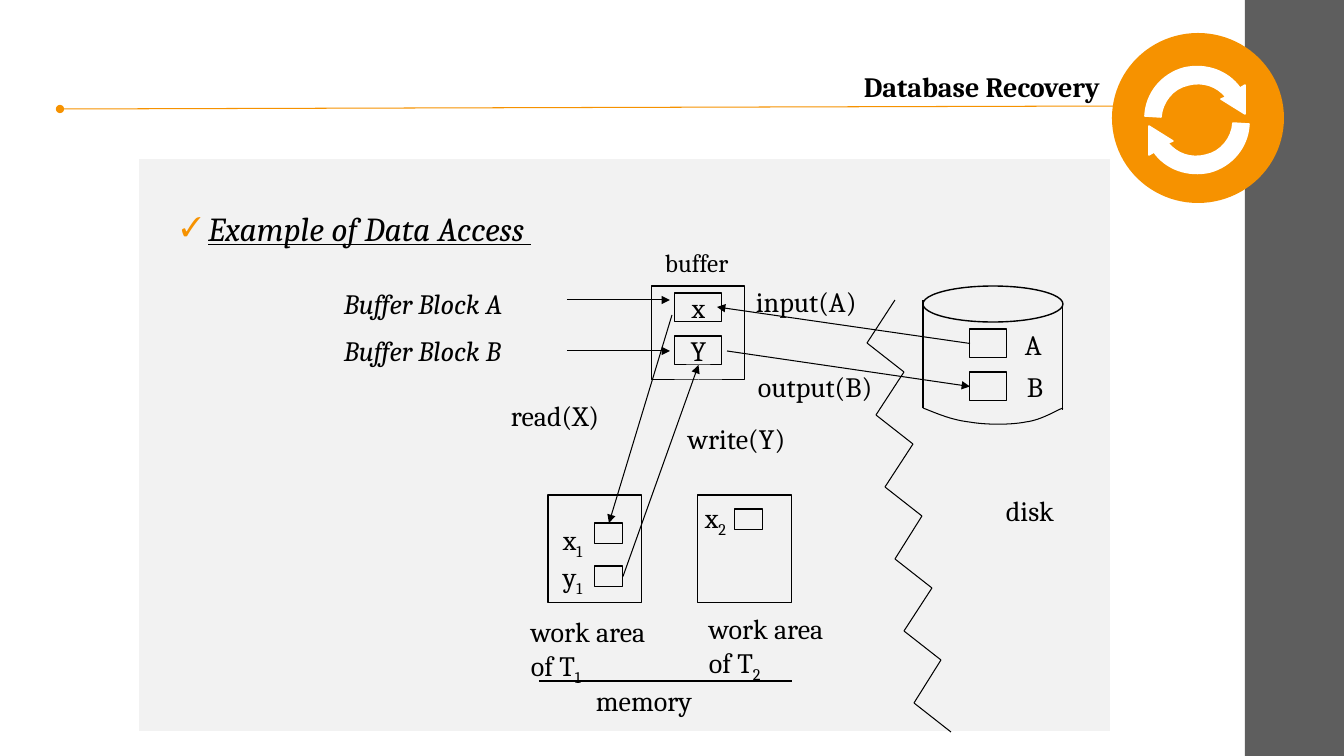
from lxml import etree
from pptx import Presentation
from pptx import util as u
from pptx.dml.color import RGBColor
from pptx.enum import shapes, text
from pptx.oxml import ns

SCALE = 914400 / 100.8
FONT = "Cambria"
COLOURS = {"ink": "000000", "accent": "F69200", "side": "5E5E5E", "panel": "F2F2F2", "white": "FFFFFF"}
RECT = shapes.MSO_SHAPE.RECTANGLE
OVAL = shapes.MSO_SHAPE.OVAL


def px(length):
    return u.Emu(round(length * SCALE))


def colour(name):
    return RGBColor.from_string(COLOURS[name])


def within(box, x, y, width, height):
    return box[0] + x, box[1] + y, width, height


def add_child(parent, tag, **attributes):
    return etree.SubElement(parent, ns.qn(tag), attributes)


def set_font(para, size=20, bold=False, italic=False, underline=False):
    font = para.font
    font.name, font.size = FONT, u.Pt(size)
    font.bold, font.italic, font.underline = bold, italic, underline
    font.color.rgb = colour("ink")


def paint(shape, fill=None, line=None, weight=0.75):
    shape.shadow.inherit = False
    if fill:
        shape.fill.solid()
        shape.fill.fore_color.rgb = colour(fill)
    else:
        shape.fill.background()
    if line:
        shape.line.color.rgb = colour(line)
        shape.line.width = u.Pt(weight)
    else:
        shape.line.fill.background()


def add_block(page, box, fill=None, line="ink", kind=RECT, weight=0.75):
    shape = page.shapes.add_shape(kind, *map(px, box))
    paint(shape, fill, line, weight)
    return shape


def add_label(page, box, *lines, size=20, italic=False):
    frame = page.shapes.add_textbox(*map(px, box)).text_frame
    frame.word_wrap = True
    for index, line in enumerate(lines):
        para = frame.add_paragraph() if index else frame.paragraphs[0]
        set_font(para, size, italic=italic)
        base, _, subscript = line.partition("_")
        para.add_run().text = base
        if subscript:
            span = para.add_run()
            span.text = subscript
            span._r.get_or_add_rPr().set("baseline", "-25000")


def add_line(page, start, end, line="ink", head=None, tail=None):
    connector = page.shapes.add_connector(shapes.MSO_CONNECTOR.STRAIGHT, *map(px, start + end))
    connector.line.color.rgb = colour(line)
    connector.line.width = u.Pt(0.75)
    outline = connector.line._get_or_add_ln()
    for tag, kind in (("a:headEnd", head), ("a:tailEnd", tail)):
        if kind:
            add_child(outline, tag, type=kind)
    add_child(connector._element.spPr, "a:effectLst")
    return connector


def add_outline(page, contours, steps, close, fill, line, weight):
    scaled = [[(px(x), px(y)) for x, y in contour] for contour in contours]
    builder = page.shapes.build_freeform(*scaled[0][0])
    for index, contour in enumerate(scaled):
        if index:
            builder.move_to(*contour[0])
        builder.add_line_segments(contour[1:], close=close)
    shape = builder.convert_to_shape()
    segments = iter(list(shape._element.iter(ns.qn("a:lnTo"))))
    for step in steps * len(contours):
        first, *others = [next(segments) for _ in step]
        if others:
            first.tag = ns.qn("a:cubicBezTo")
            for other in others:
                first.append(other[0])
                other.getparent().remove(other)
    paint(shape, fill, line, weight)


def place_title(page, box):
    title = page.shapes.title
    title.left, title.top, title.width, title.height = map(px, box)
    frame = title.text_frame
    frame.auto_size = text.MSO_AUTO_SIZE.NONE
    frame.vertical_anchor = text.MSO_ANCHOR.MIDDLE
    para = frame.paragraphs[0]
    para.text = "Database Recovery"
    para.alignment = text.PP_ALIGN.RIGHT
    set_font(para, bold=True)


def place_panel(page, box):
    panel = page.placeholders[1]
    panel.left, panel.top, panel.width, panel.height = map(px, box)
    panel.fill.solid()
    panel.fill.fore_color.rgb = colour("panel")
    frame = panel.text_frame
    frame.auto_size = text.MSO_AUTO_SIZE.NONE
    frame.margin_top = px(53)
    para = frame.paragraphs[0]
    para.text = "Example of Data Access "
    para.line_spacing = 0.9
    para.space_before, para.space_after = u.Pt(0), u.Pt(3)
    properties = para._p.get_or_add_pPr()
    properties.set("marL", str(px(59)))
    properties.set("indent", str(px(-27)))
    add_child(add_child(properties, "a:buClr"), "a:srgbClr", val=COLOURS["accent"])
    add_child(properties, "a:buSzPct", val="80000")
    add_child(properties, "a:buFont", typeface=FONT)
    add_child(properties, "a:buChar", char="✓")
    set_font(para, 24, italic=True, underline=True)


def draw_badge(page, box):
    left, top, width, height = box
    add_block(page, box, "accent", None, OVAL)
    steps = [[(52, 4)], [(51, 27), (35, 46), (13, 52)], [(-9, 57), (-31, 49), (-43, 32)],
             [(-48, 35)], [(-48, 6)], [(-24, 21)], [(-29, 23)],
             [(-20, 34), (-6, 39), (9, 35)], [(24, 32), (35, 18), (36, 3)]]
    arrow = [(36, 3)] + sum(steps, [])
    centre_x, centre_y = left + width / 2 - 1, top + height / 2 + 2
    contours = [[(centre_x + turn * x, centre_y + turn * y) for x, y in arrow] for turn in (1, -1)]
    add_outline(page, contours, steps, True, "white", "white", 1.1)


def draw_buffer(page, box):
    add_block(page, box)
    cells = []
    for row, name in enumerate("xY"):
        cell = add_block(page, within(box, 23, 7 + 43 * row, 47, 29))
        frame = cell.text_frame
        frame.word_wrap = False
        frame.vertical_anchor = text.MSO_ANCHOR.MIDDLE
        para = frame.paragraphs[0]
        para.text = name
        para.alignment = text.PP_ALIGN.CENTER
        set_font(para)
        cells.append(cell)
        block = "AB"[row]
        add_label(page, within(box, -318, -4 + 47 * row, 229, 37), f"Buffer Block {block}", italic=True)
        y = box[1] + 14 + 51 * row
        add_line(page, (box[0] - 85, y), (box[0] + 18, y), tail="triangle")
    add_label(page, within(box, 3, -44, 101, 72), "buffer", size=18)
    return cells


def draw_disk(page, box):
    left, top, width, height = box
    add_block(page, (left, top, width, 36), kind=OVAL, weight=1)
    for x, y in ((left, top + 14), (left + width, top + 16)):
        add_line(page, (x, y), (x, y + 108))
    steps = [[(15, 128), (29, 134), (46, 136)], [(63, 139), (88, 139), (103, 136)],
             [(119, 134), (134, 124), (140, 122)]]
    curve = [(left + x, top + y) for x, y in [(0, 122)] + sum(steps, [])]
    add_outline(page, [curve], steps, False, None, "ink", 0.75)
    add_label(page, within(box, 73, 203, 79, 37), "disk")
    blocks = []
    for row, name in enumerate("AB"):
        blocks.append(add_block(page, within(box, 47, 43 + 43 * row, 37, 29)))
        add_label(page, within(box, 92 + 2 * row, 37 + 42 * row, 43, 37), name)
    return blocks


def draw_work_area(page, box, owner, caption, variables):
    add_block(page, box)
    add_label(page, within(box, *caption, 168, 67), "work area", f"of T_{owner}")
    cells = []
    for name, label, cell in variables:
        cells.append(add_block(page, within(box, *cell, 28, 21)))
        add_label(page, within(box, *label, 52, 37), f"{name}_{owner}")
    return cells


def draw_divider(page, box):
    left, top, _, height = box
    points = [(left + 28, top)]
    for step in range(height // 72):
        shift = 47 * step // 5
        points += [(left + shift, top + 43 + 72 * step), (left + 37 + shift, top + 72 + 72 * step)]
    for start, end in zip(points, points[1:]):
        add_line(page, start, end)


def draw_diagram(page, box):
    left, top = box[:2]
    x_cell, y_cell = draw_buffer(page, within(box, 513, 127, 93, 94))
    block_a, block_b = draw_disk(page, within(box, 784, 127, 140, 139))
    x1_cell, y1_cell = draw_work_area(page, within(box, 409, 336, 94, 108), 1, (-27, 115),
                                      [("x", (5, 23), (47, 28)), ("y", (5, 60), (47, 71))])
    draw_work_area(page, within(box, 559, 336, 94, 108), 2, (1, 112), [("x", (-3, 1), (37, 14))])
    draw_divider(page, within(box, 728, 141, 84, 432))
    flows = [((830, 185), (578, 148), (block_a, 1), None), ((588, 192), (830, 228), None, (block_b, 1)),
             ((533, 156), (468, 364), None, (x1_cell, 0)), ((484, 421), (559, 206), (y1_cell, 3), (y_cell, 2))]
    for start, end, source, target in flows:
        arrow = add_line(page, (left + start[0], top + start[1]), (left + end[0], top + end[1]), tail="triangle")
        if source:
            arrow.begin_connect(*source)
        if target:
            arrow.end_connect(*target)
    for name, x, y in (("input(A)", 607, 121), ("output(B)", 609, 206), ("read(X)", 362, 235),
                       ("write(Y)", 539, 258), ("memory", 447, 520)):
        add_label(page, within(box, x, y, 159, 37), name)
    add_line(page, (left + 400, top + 522), (left + 653, top + 522))


def main():
    deck = Presentation()
    deck.slide_width, deck.slide_height = px(1344), px(756)
    page = deck.slides.add_slide(deck.slide_layouts[1])
    panel = (139, 159, 971, 572)
    place_title(page, (178, 66, 932, 41))
    place_panel(page, panel)
    add_block(page, (1245, 0, 99, 756), "side", None)
    add_line(page, (60, 109), (1120, 106), "accent", head="oval")
    draw_badge(page, (1112, 33, 172, 170))
    draw_diagram(page, panel)
    deck.save("out.pptx")


if __name__ == "__main__":
    main()
